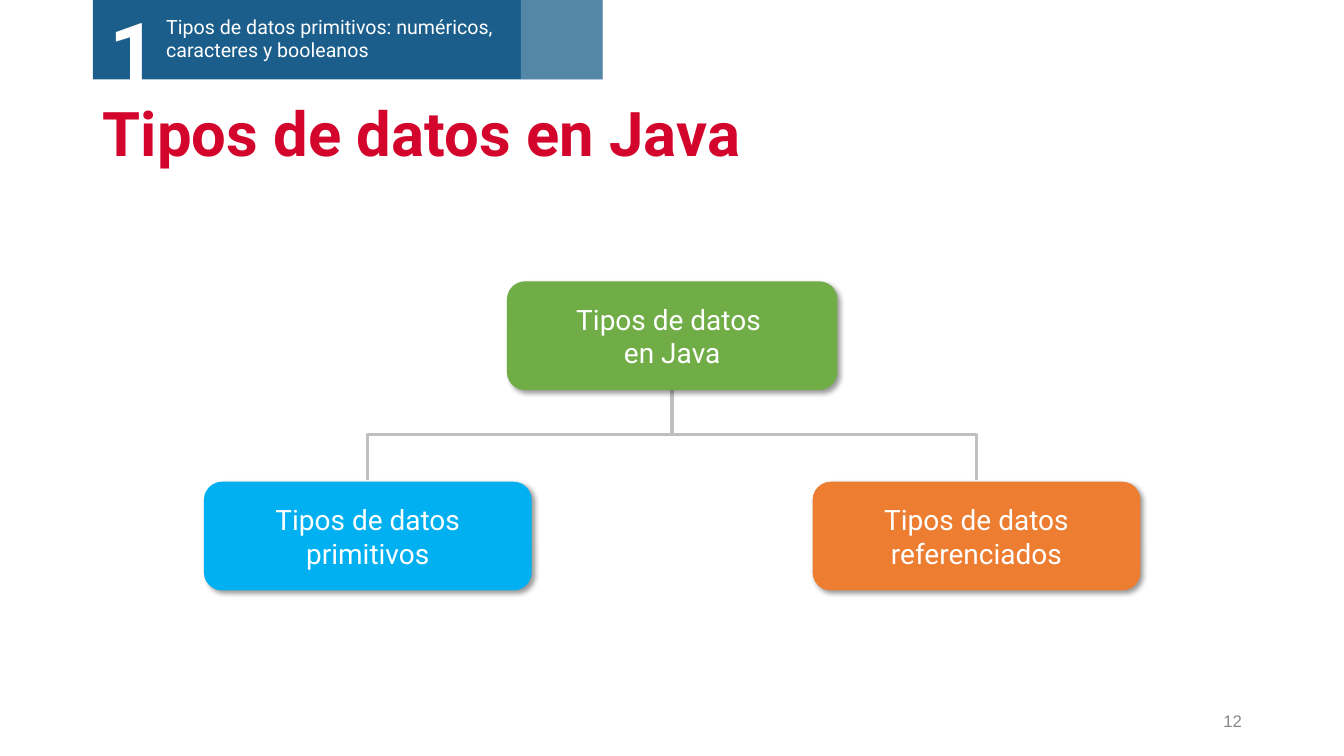
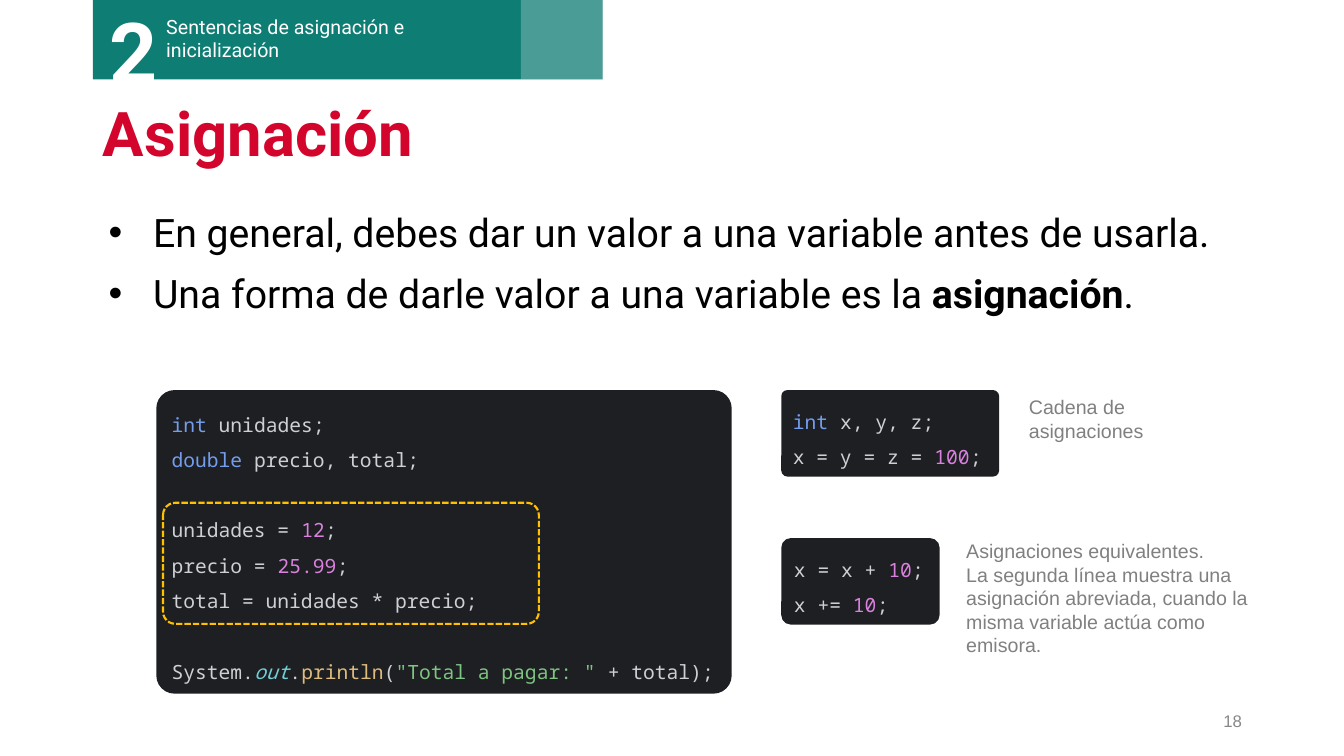
from copy import deepcopy
from dataclasses import dataclass

from lxml import etree
from pptx import Presentation
from pptx.dml.color import RGBColor
from pptx.enum.dml import MSO_LINE
from pptx.enum.shapes import MSO_SHAPE
from pptx.enum.text import MSO_ANCHOR, MSO_AUTO_SIZE, PP_ALIGN
from pptx.oxml.ns import qn
from pptx.util import Cm, Pt

RECTANGLE = MSO_SHAPE.RECTANGLE
ROUNDED = MSO_SHAPE.ROUNDED_RECTANGLE
BRACE = MSO_SHAPE.RIGHT_BRACE
LEFT, CENTER, RIGHT = PP_ALIGN.LEFT, PP_ALIGN.CENTER, PP_ALIGN.RIGHT
TOP, MIDDLE = MSO_ANCHOR.TOP, MSO_ANCHOR.MIDDLE
FIT_SHAPE, NO_FIT = MSO_AUTO_SIZE.SHAPE_TO_FIT_TEXT, MSO_AUTO_SIZE.NONE
DASHED = MSO_LINE.SQUARE_DOT
TITLE_ONLY = 5


@dataclass(frozen=True)
class Theme:
    # Fonts
    main: str = "Roboto"
    plain: str = "Arial"
    mono: str = "Noto Sans Mono"
    # Type sizes
    digit: int = 60
    title: int = 44
    body: int = 28
    node: int = 20
    small: int = 14
    footer: int = 12
    # Colours
    white: str = "FFFFFF"
    black: str = "000000"
    red: str = "D3052C"
    blue: str = "1B5E8B"
    teal: str = "0E7D73"
    green: str = "70AD47"
    sky: str = "00B0F0"
    orange: str = "ED7D31"
    amber: str = "FFC000"
    branch: str = "BFBFBF"
    note: str = "808080"
    page_number: str = "888888"
    panel: str = "1E1F22"
    # Code colours
    code: str = "CED0D6"
    keyword: str = "749DED"
    number: str = "D981DE"
    member: str = "72CFD6"
    method: str = "DEBC7E"
    string: str = "7EC482"


THEME = Theme()


def write(para, text, *, size, color, font=THEME.main, bold=False, italic=False,
          align=LEFT, spacing=None):
    """Add formatted text to a paragraph; a newline becomes a line break."""
    para.alignment = align
    if spacing:
        para.line_spacing = spacing
    span = None
    for index, piece in enumerate(text.split("\n")):
        if index:
            para.add_line_break()
            para._p[-1].append(deepcopy(span._r.rPr))
        if piece:
            span = para.add_run()
            span.text = piece
            span.font.name = font
            span.font.size = Pt(size)
            span.font.bold = bold
            span.font.italic = italic
            span.font.color.rgb = RGBColor.from_string(color)


def add_bullet(para):
    properties = para._p.get_or_add_pPr()
    properties.set("marL", str(Cm(1.27)))
    properties.set("indent", str(Cm(-1.12)))
    etree.SubElement(properties, qn("a:buFont"), typeface=THEME.plain)
    etree.SubElement(properties, qn("a:buChar"), char="•")


class Deck:
    def __init__(self, theme):
        self.theme = theme
        self.file = Presentation()
        self.file.slide_width, self.file.slide_height = Cm(33.87), Cm(19.05)
        self.page = None

    def start(self, title, section, topic, topic_width, color, number):
        """Add a slide with its title, section band and page number."""
        theme = self.theme
        self.page = self.file.slides.add_slide(self.file.slide_layouts[TITLE_ONLY])
        box = self.page.shapes.title
        box.left, box.top, box.width, box.height = Cm(2.34), Cm(2.36), Cm(29.21), Cm(2.18)
        frame = box.text_frame
        frame.auto_size, frame.vertical_anchor = NO_FIT, MIDDLE
        write(frame.paragraphs[0], title, size=theme.title, color=theme.red,
              bold=True, spacing=0.9)

        self.shape(RECTANGLE, 2.34, 0, 12.85, 2, fill=color)
        self.text(topic, 3.94, 0.25, topic_width, 1.45, size=theme.small, color=theme.white)
        self.text(section, 2.51, -0.13, 2.84, 2.82, size=theme.digit,
                  color=theme.white, bold=True)
        self.shape(RECTANGLE, 13.13, 0, 2.06, 2, fill=theme.white, opacity=25)
        self.text(number, 23.93, 17.65, 7.62, 1.02, anchor=MIDDLE, size=theme.footer,
                  color=theme.page_number, font=theme.plain, align=RIGHT)

    def shape(self, kind, left, top, width, height, fill=None, opacity=None,
              line=None, weight=1.5, dash=None, adjust=None):
        shape = self.page.shapes.add_shape(kind, Cm(left), Cm(top), Cm(width), Cm(height))
        shape.shadow.inherit = False
        if fill:
            shape.fill.solid()
            shape.fill.fore_color.rgb = RGBColor.from_string(fill)
        else:
            shape.fill.background()
        if opacity:
            color = shape._element.spPr.find(".//" + qn("a:srgbClr"))
            etree.SubElement(color, qn("a:alpha"), val=str(opacity * 1000))
        if line:
            shape.line.color.rgb = RGBColor.from_string(line)
            shape.line.width = Pt(weight)
            if dash:
                shape.line.dash_style = dash
        else:
            shape.line.fill.background()
        if adjust is not None:
            shape.adjustments[0] = adjust
        return shape

    def frame(self, left, top, width, height, anchor=TOP):
        box = self.page.shapes.add_textbox(Cm(left), Cm(top), Cm(width), Cm(height))
        box.text_frame.word_wrap = True
        box.text_frame.vertical_anchor = anchor
        return box.text_frame

    def text(self, text, left, top, width, height, anchor=TOP, **style):
        write(self.frame(left, top, width, height, anchor).paragraphs[0], text, **style)

    def note(self, text, left, top, width, height):
        self.text(text, left, top, width, height, size=self.theme.small,
                  color=self.theme.note, font=self.theme.plain)

    def bullets(self, items, left, top, width, height):
        """Each item is a list of (text, bold) spans."""
        frame = self.frame(left, top, width, height)
        for index, spans in enumerate(items):
            para = frame.add_paragraph() if index else frame.paragraphs[0]
            add_bullet(para)
            if index:
                para.space_before = Pt(10)
            for text, bold in spans:
                write(para, text, size=self.theme.body, color=self.theme.black, bold=bold)

    def node(self, text, center, top, width, color):
        """Draw a rounded diagram box with a soft shadow."""
        shape = self.shape(ROUNDED, center - width / 2, top, width, 2.74, fill=color)
        effects = shape._element.spPr.find(qn("a:effectLst"))
        shadow = etree.SubElement(effects, qn("a:outerShdw"), blurRad=str(Pt(4)),
                                  dist=str(Pt(3)), dir="2700000", algn="tl",
                                  rotWithShape="0")
        tint = etree.SubElement(shadow, qn("a:srgbClr"), val=self.theme.black)
        etree.SubElement(tint, qn("a:alpha"), val="40000")
        frame = shape.text_frame
        frame.word_wrap, frame.vertical_anchor = True, MIDDLE
        write(frame.paragraphs[0], text, size=self.theme.node,
              color=self.theme.white, align=CENTER)

    def code(self, tokens, left, top, width, height, adjust):
        """Each token is a (text, colour) pair."""
        theme = self.theme
        panel = self.shape(ROUNDED, left, top, width, height, fill=theme.panel, adjust=adjust)
        frame = panel.text_frame
        frame.word_wrap, frame.auto_size = False, FIT_SHAPE
        frame.vertical_anchor = MIDDLE
        for text, color in tokens:
            write(frame.paragraphs[0], text, size=theme.small, color=color,
                  font=theme.mono, italic=color == theme.member, spacing=1.5)


def data_types(deck):
    theme = deck.theme
    deck.start("Tipos de datos en Java", "1",
               "Tipos de datos primitivos: numéricos, caracteres y booleanos",
               9, theme.blue, "12")
    # Tree: branch lines, root and two children
    middle, reach = 16.94, 7.67
    branch = deck.shape(BRACE, middle - 1.15, 3.28, 2.29, 2 * reach,
                        line=theme.branch, weight=2.25, adjust=0)
    branch.rotation = 270
    deck.node("Tipos de datos \nen Java", middle, 7.09, 8.33, theme.green)
    deck.node("Tipos de datos primitivos", middle - reach, 12.14, 8.26, theme.sky)
    deck.node("Tipos de datos referenciados", middle + reach, 12.14, 8.26, theme.orange)


def assignment(deck):
    theme = deck.theme
    code, keyword, number = theme.code, theme.keyword, theme.number
    deck.start("Asignación", "2", "Sentencias de asignación e inicialización",
               7, theme.teal, "18")
    deck.bullets([
        [("En general, debes dar un valor a una variable antes de usarla.", False)],
        [("Una forma de darle valor a una variable es la ", False),
         ("asignación", True), (".", False)],
    ], 2.34, 5.13, 29.21, 4)

    # Main example, with its assignments outlined
    deck.code([
        ("int ", keyword), ("unidades;\n", code),
        ("double ", keyword), ("precio, total;\n\nunidades = ", code),
        ("12", number), (";\nprecio = ", code),
        ("25.99", number), (";\ntotal = unidades * precio;\n\nSystem.", code),
        ("out", theme.member), (".", code), ("println", theme.method), ("(", code),
        ('"Total a pagar: " ', theme.string), ("+ total);", code),
    ], 3.94, 9.83, 14.5, 7.65, 0.06)
    deck.shape(ROUNDED, 4.11, 12.67, 9.47, 3.05, line=theme.amber, dash=DASHED, adjust=0.1)

    # Short examples and their notes
    deck.code([
        ("int ", keyword), ("x, y, z;\nx = y = z = ", code), ("100", number), (";", code),
    ], 19.69, 9.83, 5.49, 2.18, 0.07)
    deck.note("Cadena de asignaciones", 25.68, 9.83, 5.49, 1.45)
    deck.code([
        ("x = x + ", code), ("10", number), (";\nx += ", code), ("10", number), (";", code),
    ], 19.69, 13.56, 3.99, 2.18, 0.11)
    deck.note("Asignaciones equivalentes. \nLa segunda línea muestra una asignación "
              "abreviada, cuando la misma variable actúa como emisora.",
              24.1, 13.46, 7.62, 3.25)


def main():
    deck = Deck(THEME)
    data_types(deck)
    assignment(deck)
    deck.file.save("out.pptx")


if __name__ == "__main__":
    main()
